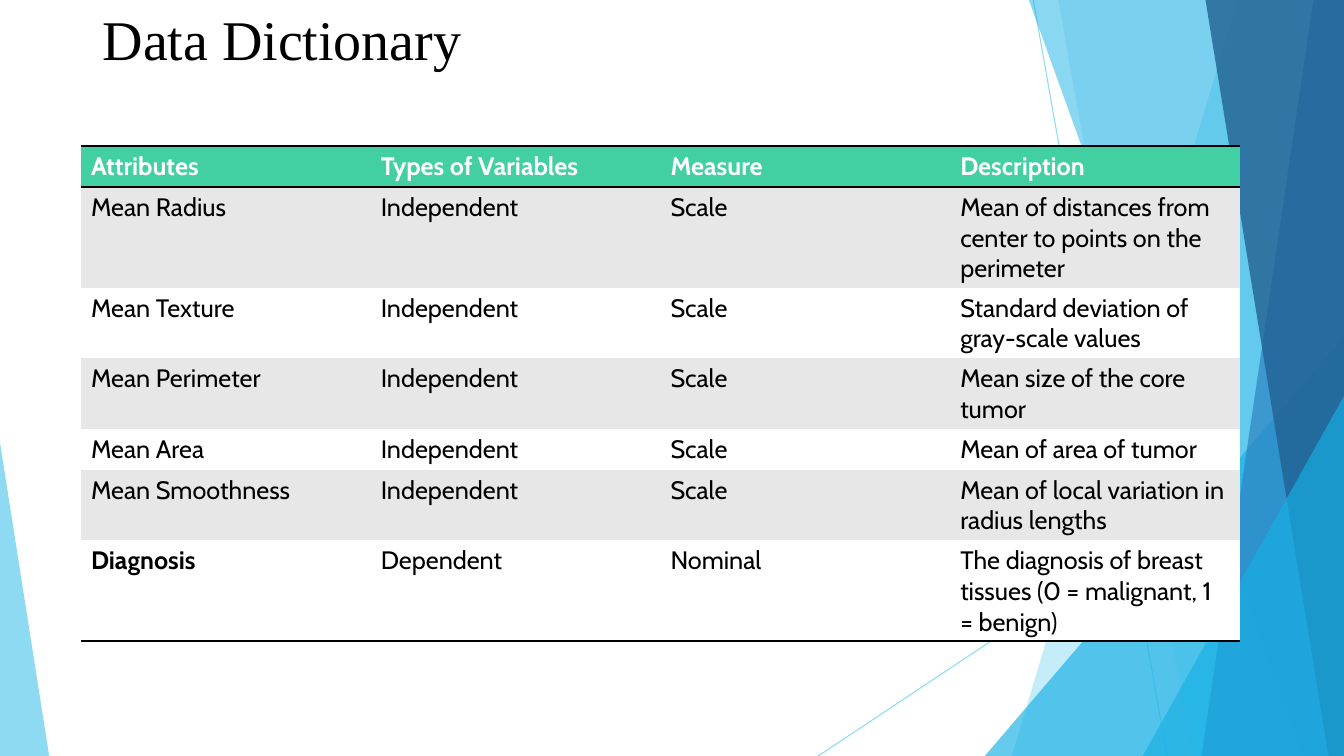
from dataclasses import dataclass

from lxml import etree
from pptx import Presentation
from pptx import util as u
from pptx.dml import color
from pptx.enum import shapes, text
from pptx.oxml import ns

SLIDE_W, SLIDE_H = 33.87, 19.05
SKY, CYAN, BLUE, NAVY = "5FCBEF", "17B0E4", "2E83C3", "226292"
GREEN, GRAY, WHITE, BLACK = "42D0A2", "E7E7E7", "FFFFFF", "000000"
NO_STYLE = "{2D5ABB26-0587-4C30-8999-92F81FD0307C}"


@dataclass
class Ray:
    x1: float
    y1: float
    x2: float
    y2: float


@dataclass
class Band:
    """Full-height facet reaching the right edge of the slide."""
    top_x: float
    bottom_x: float
    fill: str
    opacity: int


@dataclass
class Triangle:
    """Right-angled facet standing on the bottom edge of the slide."""
    left: float
    top: float
    width: float
    apex: float
    fill: str
    opacity: int


RAYS = [Ray(26.04, 0, 29.41, SLIDE_H), Ray(SLIDE_W, 10.24, 20.62, SLIDE_H)]
FACETS = [
    Band(31.19, 25.5, SKY, 36),
    Band(26.67, 30.05, SKY, 20),
    Triangle(24.82, 8.47, 9.05, 1, CYAN, 66),
    Band(25.93, 32.79, CYAN, 50),
    Band(33.1, 30.28, BLUE, 70),
    Band(30.38, 33.48, NAVY, 80),
    Triangle(28.8, 9.98, 5.07, 1, CYAN, 66),
    Triangle(0, 11.15, 1.24, 0, SKY, 70),
]
ROWS = [
    ("Attributes", "Types of Variables", "Measure", "Description"),
    ("Mean Radius", "Independent", "Scale",
     "Mean of distances from center to points on the perimeter"),
    ("Mean Texture", "Independent", "Scale", "Standard deviation of gray-scale values"),
    ("Mean Perimeter", "Independent", "Scale", "Mean size of the core tumor"),
    ("Mean Area", "Independent", "Scale", "Mean of area of tumor"),
    ("Mean Smoothness", "Independent", "Scale", "Mean of local variation in radius lengths"),
    ("Diagnosis", "Dependent", "Nominal",
     "The diagnosis of breast tissues (0 = malignant, 1 = benign)"),
]


def rgb(value: str) -> color.RGBColor:
    return color.RGBColor.from_string(value)


def set_opacity(fill_parent, percent: int) -> None:
    clr = next(fill_parent.iter(ns.qn("a:srgbClr")))
    etree.SubElement(clr, ns.qn("a:alpha"), val=str(percent * 1000))


def write(tf, content: str, hex_color: str, **fmt) -> None:
    r = tf.paragraphs[0].add_run()
    r.text = content
    r.font.color.rgb = rgb(hex_color)
    for name, value in fmt.items():
        setattr(r.font, name, value)


def draw_ray(s, ray: Ray) -> None:
    sp = s.shapes.add_connector(shapes.MSO_CONNECTOR.STRAIGHT, u.Cm(ray.x1), u.Cm(ray.y1),
                                u.Cm(ray.x2), u.Cm(ray.y2))
    sp.line.color.rgb = rgb(SKY)
    sp.line.width = u.Pt(0.75)
    sp_pr = sp._element.spPr
    set_opacity(sp_pr, 70)
    etree.SubElement(sp_pr, ns.qn("a:effectLst"))


def draw_facet(s, facet: Band | Triangle) -> None:
    if isinstance(facet, Band):
        builder = s.shapes.build_freeform(u.Cm(facet.top_x), 0)
        corners = [(SLIDE_W, 0), (SLIDE_W, SLIDE_H), (facet.bottom_x, SLIDE_H)]
        builder.add_line_segments([(u.Cm(x), u.Cm(y)) for x, y in corners], close=True)
        sp = builder.convert_to_shape()
    else:
        sp = s.shapes.add_shape(shapes.MSO_SHAPE.ISOSCELES_TRIANGLE, u.Cm(facet.left),
                                u.Cm(facet.top), u.Cm(facet.width),
                                u.Cm(SLIDE_H - facet.top))
        sp.adjustments[0] = facet.apex
    sp.shadow.inherit = False
    sp.line.fill.background()
    sp.fill.solid()
    sp.fill.fore_color.rgb = rgb(facet.fill)
    set_opacity(sp._element.spPr, facet.opacity)


def add_border(cell, side: str) -> None:
    ln = etree.SubElement(cell._tc.get_or_add_tcPr(), ns.qn(f"a:ln{side}"), w=str(u.Pt(2)))
    fill = etree.SubElement(ln, ns.qn("a:solidFill"))
    etree.SubElement(fill, ns.qn("a:srgbClr"), val=BLACK)


def draw_title(s) -> None:
    tf = s.shapes.add_textbox(u.Cm(2.34), 0, u.Cm(29.21), u.Cm(3.68)).text_frame
    for name, value in {"word_wrap": True, "vertical_anchor": text.MSO_ANCHOR.TOP}.items():
        setattr(tf, name, value)
    write(tf, "Data Dictionary", BLACK, name="Times New Roman", size=u.Pt(40))


def draw_table(s) -> None:
    frame = s.shapes.add_table(len(ROWS), len(ROWS[0]), u.Cm(2.04), u.Cm(3.68),
                               u.Cm(29.21), u.Cm(1.03 * len(ROWS)))
    table = frame.table
    table._tbl.tblPr.find(ns.qn("a:tableStyleId")).text = NO_STYLE
    last = len(ROWS) - 1
    for i, row in enumerate(ROWS):
        sides = {0: "TB", last: "B"}.get(i, "")
        fill = GREEN if i == 0 else GRAY if i % 2 else WHITE
        for j, content in enumerate(row):
            cell = table.cell(i, j)
            for side in sides:
                add_border(cell, side)
            cell.fill.solid()
            cell.fill.fore_color.rgb = rgb(fill)
            write(cell.text_frame, content, WHITE if i == 0 else BLACK, name="Cabin",
                  size=u.Pt(18), bold=i == 0 or (i == last and j == 0))


def main() -> None:
    prs = Presentation()
    prs.slide_width, prs.slide_height = u.Cm(SLIDE_W), u.Cm(SLIDE_H)
    s = prs.slides.add_slide(prs.slide_layouts[6])
    # Faceted background
    for ray in RAYS:
        draw_ray(s, ray)
    for facet in FACETS:
        draw_facet(s, facet)
    # Title and table
    draw_title(s)
    draw_table(s)
    prs.save("out.pptx")


if __name__ == "__main__":
    main()
